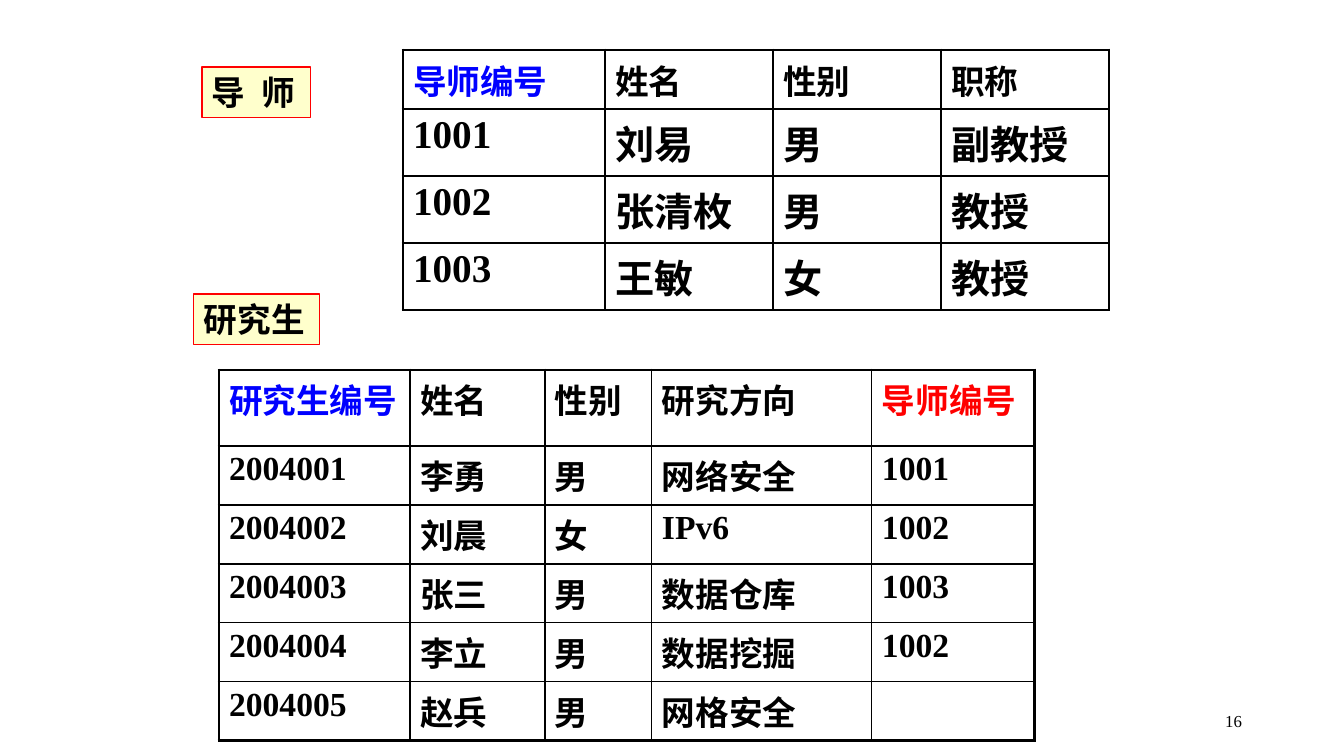
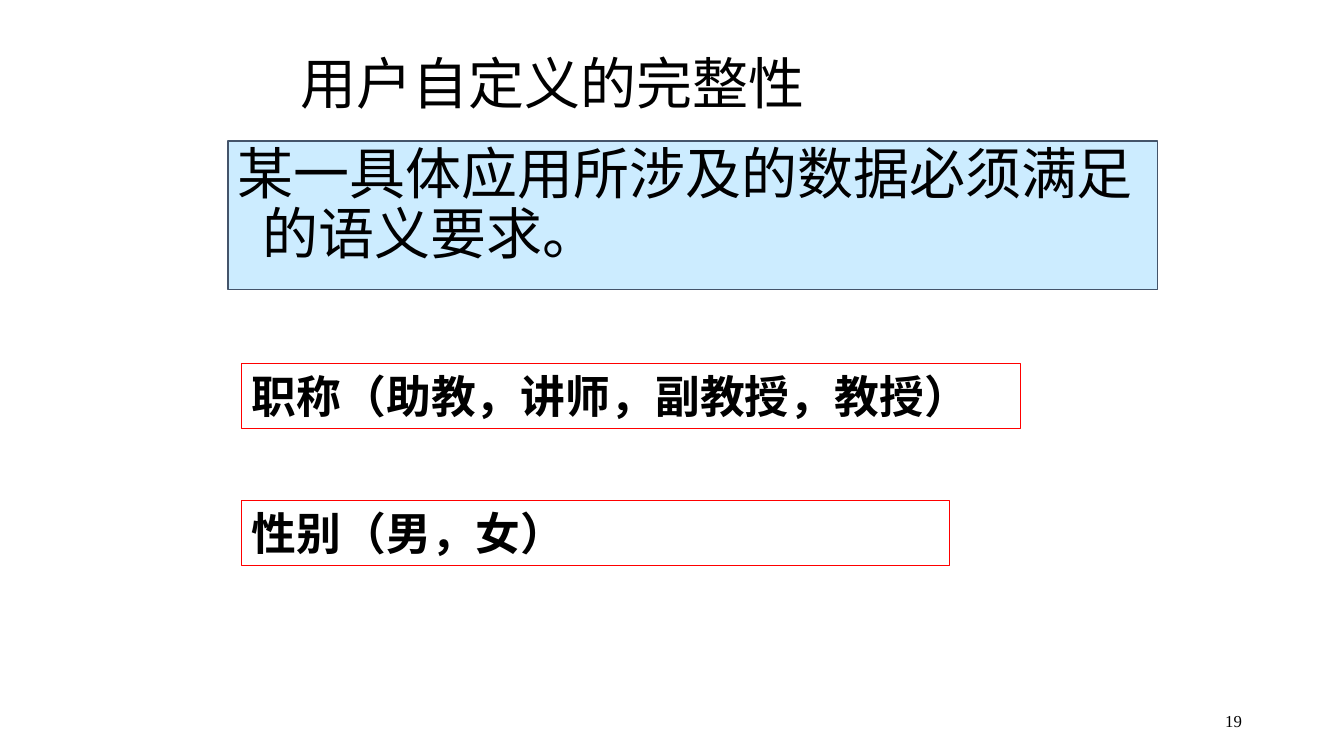
from lxml import etree
from pptx import Presentation
from pptx import util as u
from pptx.dml.color import RGBColor
from pptx.enum import shapes, text
from pptx.oxml.ns import qn

PX = 914400 / 100.8
BLACK, BLUE, RED = "000000", "0000FF", "FF0000"
NOTE_FILL, BODY_FILL, BODY_LINE = "FFFFCC", "CCECFF", "44546A"
LATIN, CJK = "Times New Roman", "Noto Sans CJK SC"
ANCHOR, ALIGN, FIT = text.MSO_ANCHOR, text.PP_ALIGN, text.MSO_AUTO_SIZE


def px(n):
    """Turn pixels into EMU."""
    return u.Emu(round(n * PX))


def rgb(value):
    """Turn a hex string into a colour."""
    return RGBColor.from_string(value)


def add_run(p, words, size, color=BLACK, bold=False, font=LATIN, ea=CJK, spacing=0):
    """Add one formatted run; spacing is in points between characters."""
    r = p.add_run()
    r.text = words
    r.font.size, r.font.bold, r.font.name = u.Pt(size), bold, font
    r.font.color.rgb = rgb(color)
    rPr = r._r.get_or_add_rPr()
    etree.SubElement(rPr, qn("a:ea"), typeface=ea)
    if spacing:
        rPr.set("spc", str(spacing * 100))


def add_box(s, box, words, size, fill=None, line=None, fit=FIT.SHAPE_TO_FIT_TEXT,
            anchor=ANCHOR.TOP, align=ALIGN.LEFT, **style):
    """Place one paragraph in a box, outlined when a line colour is given."""
    area = [px(n) for n in box]
    if line:
        sp = s.shapes.add_shape(shapes.MSO_SHAPE.RECTANGLE, *area)
        sp.shadow.inherit = False
        sp.line.color.rgb = rgb(line)
        sp.line.width = u.Pt(0.75)
    else:
        sp = s.shapes.add_textbox(*area)
    if fill:
        sp.fill.solid()
        sp.fill.fore_color.rgb = rgb(fill)
    else:
        sp.fill.background()
    tf = sp.text_frame
    tf.word_wrap, tf.auto_size, tf.vertical_anchor = True, fit, anchor
    p = tf.paragraphs[0]
    p.alignment = align
    add_run(p, words, size, **style)
    return p


def add_borders(cell, sides):
    """Draw black borders, given as widths in points by side."""
    tcPr = cell._tc.get_or_add_tcPr()
    for side, width in sides.items():
        ln = etree.SubElement(tcPr, qn("a:ln" + side), w=str(u.Pt(width)))
        fill = etree.SubElement(ln, qn("a:solidFill"))
        etree.SubElement(fill, qn("a:srgbClr"), val=BLACK)


def add_grid(s, left, top, cols, heights, rows, body_size, key_colors):
    """Draw a table with a heavy frame and coloured key headings."""
    frame = s.shapes.add_table(len(rows), len(cols), px(left), px(top),
                               px(sum(cols)), px(sum(heights)))
    table = frame.table
    table.first_row = table.horz_banding = False
    for col, width in zip(table.columns, cols):
        col.width = px(width)
    last_row, last_col = len(rows) - 1, len(cols) - 1
    for i, row in enumerate(rows):
        table.rows[i].height = px(heights[i])
        for j, words in enumerate(row):
            cell = table.cell(i, j)
            edges = {"L": j == 0, "R": j == last_col, "T": i == 0, "B": i == last_row}
            add_borders(cell, {k: 2.25 if outer else 1 for k, outer in edges.items()})
            cell.fill.background()
            if words:
                size, color = (body_size, BLACK) if i else (24, key_colors.get(j, BLACK))
                add_run(cell.text_frame.paragraphs[0], words, size, color, bold=True)


def add_slide(prs, number):
    """Start a blank slide with its page number."""
    s = prs.slides.add_slide(prs.slide_layouts[6])
    add_box(s, (950, 701, 302, 40), number, 12, fit=FIT.NONE,
            anchor=ANCHOR.MIDDLE, align=ALIGN.RIGHT)
    return s


def tables_slide(prs):
    """Build the supervisor and postgraduate tables with their labels."""
    s = add_slide(prs, "16")
    supervisors = [
        ("导师编号", "姓名", "性别", "职称"),
        ("1001", "刘易", "男", "副教授"),
        ("1002", "张清枚", "男", "教授"),
        ("1003", "王敏", "女", "教授"),
    ]
    students = [
        ("研究生编号", "姓名", "性别", "研究方向", "导师编号"),
        ("2004001", "李勇", "男", "网络安全", "1001"),
        ("2004002", "刘晨", "女", "IPv6", "1002"),
        ("2004003", "张三", "男", "数据仓库", "1003"),
        ("2004004", "李立", "男", "数据挖掘", "1002"),
        ("2004005", "赵兵", "男", "网格安全", ""),
    ]
    add_grid(s, 403, 50, [202] + [168] * 3, [59] + [67] * 3, supervisors, 28, {0: BLUE})
    add_grid(s, 219, 370, [191, 135, 107, 220, 163], [76] + [59] * 5, students, 24,
             {0: BLUE, 4: RED})
    label = dict(size=24, fill=NOTE_FILL, line=RED, bold=True)
    add_box(s, (202, 67, 109, 51), "导 师", spacing=3, **label)
    add_box(s, (194, 294, 126, 51), "研究生", **label)


def integrity_slide(prs):
    """Build the definition of user-defined integrity and its examples."""
    s = add_slide(prs, "19")
    p = add_box(s, (228, 141, 930, 149), "某一具体应用所涉及的数据必须满足的语义要求。", 40,
                fill=BODY_FILL, line=BODY_LINE, fit=FIT.TEXT_TO_FIT_SHAPE,
                font="Noto Sans CJK JP", ea="Noto Sans CJK JP")
    p.line_spacing, p.space_before = 0.9, u.Pt(10)
    pPr = p._p.get_or_add_pPr()
    pPr.set("marL", str(px(25)))
    pPr.set("indent", str(-px(25)))
    examples = [("职称（助教，讲师，副教授，教授）", 779), ("性别（男，女）", 708)]
    for i, (words, width) in enumerate(examples):
        add_box(s, (242, 364 + 137 * i, width, 65), words, 32, line=RED, bold=True)
    add_box(s, (291, 44, 715, 78), "用户自定义的完整性", 40, font="Arial")


prs = Presentation()
prs.slide_width, prs.slide_height = px(1344), px(756)
tables_slide(prs)
integrity_slide(prs)
prs.save("out.pptx")
